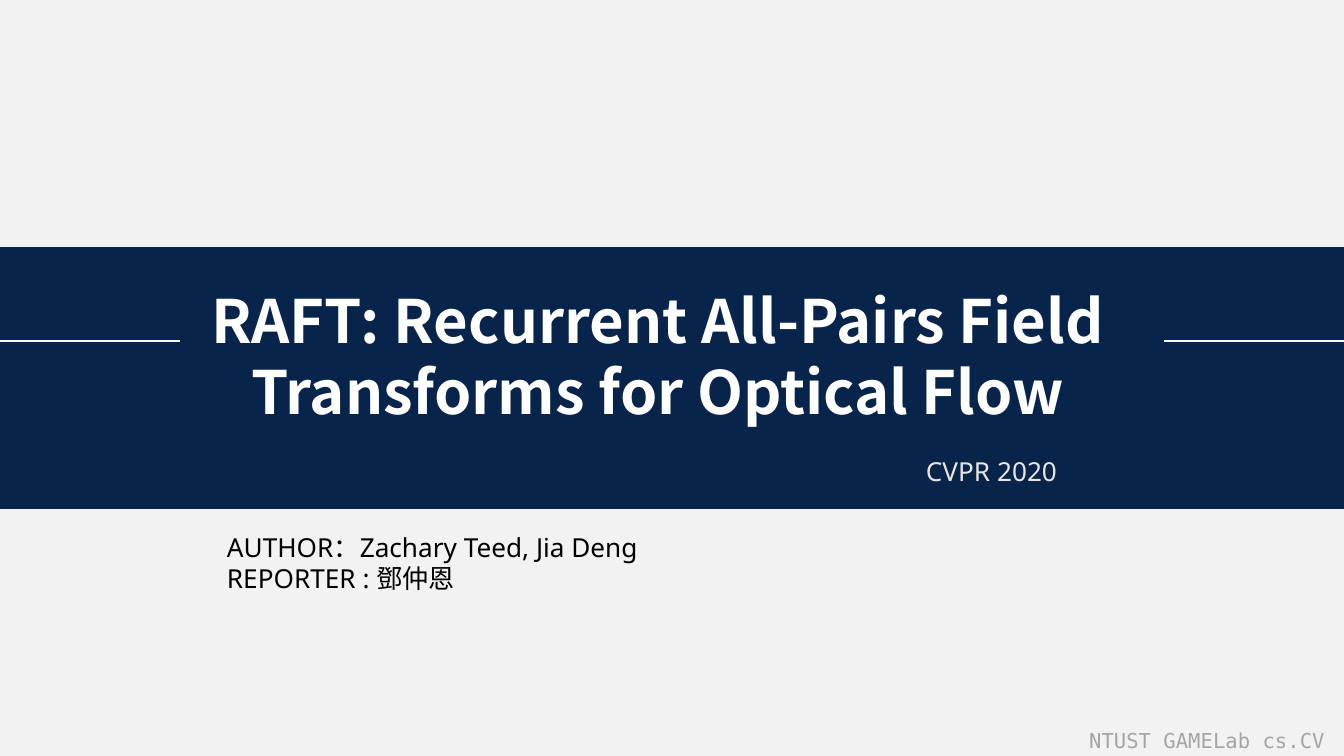
from lxml import etree
from pptx import Presentation
from pptx.dml.color import RGBColor
from pptx.enum.shapes import MSO_CONNECTOR, MSO_SHAPE
from pptx.enum.text import MSO_ANCHOR, MSO_AUTO_SIZE, PP_ALIGN
from pptx.oxml.ns import qn
from pptx.util import Cm, Pt

RECTANGLE = MSO_SHAPE.RECTANGLE
STRAIGHT = MSO_CONNECTOR.STRAIGHT
TOP = MSO_ANCHOR.TOP
NO_AUTOFIT = MSO_AUTO_SIZE.NONE
LEFT, CENTER, RIGHT = PP_ALIGN.LEFT, PP_ALIGN.CENTER, PP_ALIGN.RIGHT

COLORS = {
    "background": "F2F2F2",
    "band": "08244A",
    "white": "FFFFFF",
    "black": "000000",
    "venue": "E8E6E3",
    "footer": "A5A5A5",
}
BODY_FONT = "Noto Sans"
CJK_FONT = "Noto Sans CJK TC"
TITLE_ONLY = 5
SLIDE_WIDTH, SLIDE_HEIGHT = 25.4, 14.29
RULE_WIDTH = 3.4
LINE_HEIGHT = 1.2


def color(name):
    return RGBColor.from_string(COLORS[name])


def write_text(shape, paragraphs, size, ink, font=BODY_FONT, bold=False,
               align=LEFT, margins=(0.25, 0.13)):
    """Fill a shape with paragraphs, each a list of (text, font or None) spans."""
    frame = shape.text_frame
    frame.word_wrap = True
    frame.auto_size = NO_AUTOFIT
    frame.vertical_anchor = TOP
    frame.margin_left = frame.margin_right = Cm(margins[0])
    frame.margin_top = frame.margin_bottom = Cm(margins[1])
    for index, spans in enumerate(paragraphs):
        para = frame.add_paragraph() if index else frame.paragraphs[0]
        para.alignment = align
        para.line_spacing = Pt(LINE_HEIGHT * size)
        for text, span_font in spans:
            span = para.add_run()
            span.text = text
            span.font.size = Pt(size)
            span.font.bold = bold
            span.font.name = span_font or font
            span.font.color.rgb = color(ink)
            properties = span._r.get_or_add_rPr()
            etree.SubElement(properties, qn("a:ea"), typeface=CJK_FONT)


def add_text(slide, left, top, width, height, paragraphs, **style):
    box = slide.shapes.add_textbox(Cm(left), Cm(top), Cm(width), Cm(height))
    write_text(box, paragraphs, **style)


def add_band(slide, top, height):
    band = slide.shapes.add_shape(
        RECTANGLE, 0, Cm(top), Cm(SLIDE_WIDTH), Cm(height))
    band.shadow.inherit = False
    band.fill.solid()
    band.fill.fore_color.rgb = color("band")
    band.line.fill.background()
    return band


def add_rule(slide, left, top):
    rule = slide.shapes.add_connector(
        STRAIGHT, Cm(left), Cm(top), Cm(left + RULE_WIDTH), Cm(top))
    rule.line.color.rgb = color("white")
    rule.line.width = Pt(1)
    etree.SubElement(rule.element.spPr, qn("a:effectLst"))


def place_title(slide, band, text):
    """Put the title placeholder in front of the band."""
    title = slide.shapes.title
    title.left, title.top = Cm(3.2), Cm(5.26)
    title.width, title.height = Cm(18.47), Cm(2.92)
    write_text(title, [[(text, None)]], size=32, ink="white", font=CJK_FONT,
               bold=True, align=CENTER, margins=(0.18, 0.1))
    band.element.addnext(title.element)


def main():
    deck = Presentation()
    deck.slide_width, deck.slide_height = Cm(SLIDE_WIDTH), Cm(SLIDE_HEIGHT)
    slide = deck.slides.add_slide(deck.slide_layouts[TITLE_ONLY])
    slide.background.fill.solid()
    slide.background.fill.fore_color.rgb = color("background")

    band = add_band(slide, top=4.67, height=4.95)
    place_title(slide, band,
                "RAFT: Recurrent All-Pairs Field Transforms for Optical Flow")
    for left in (0, SLIDE_WIDTH - RULE_WIDTH):
        add_rule(slide, left, top=6.45)

    people = [
        [("AUTHOR：Zachary Teed, Jia Deng", None)],
        [("REPORTER : ", None), ("鄧仲恩", "Arial")],
    ]
    add_text(slide, 4.04, 9.91, 12.73, 1.45, people, size=14, ink="black")
    add_text(slide, 17.25, 8.48, 3.38, 0.86, [[("CVPR 2020", None)]],
             size=14, ink="venue")
    add_text(slide, 18.64, 13.67, 6.58, 0.66, [[("NTUST GAMELab cs.CV", None)]],
             size=11, ink="footer", font="DejaVu Sans Mono", align=RIGHT,
             margins=(0.18, 0.1))
    deck.save("out.pptx")


if __name__ == "__main__":
    main()
